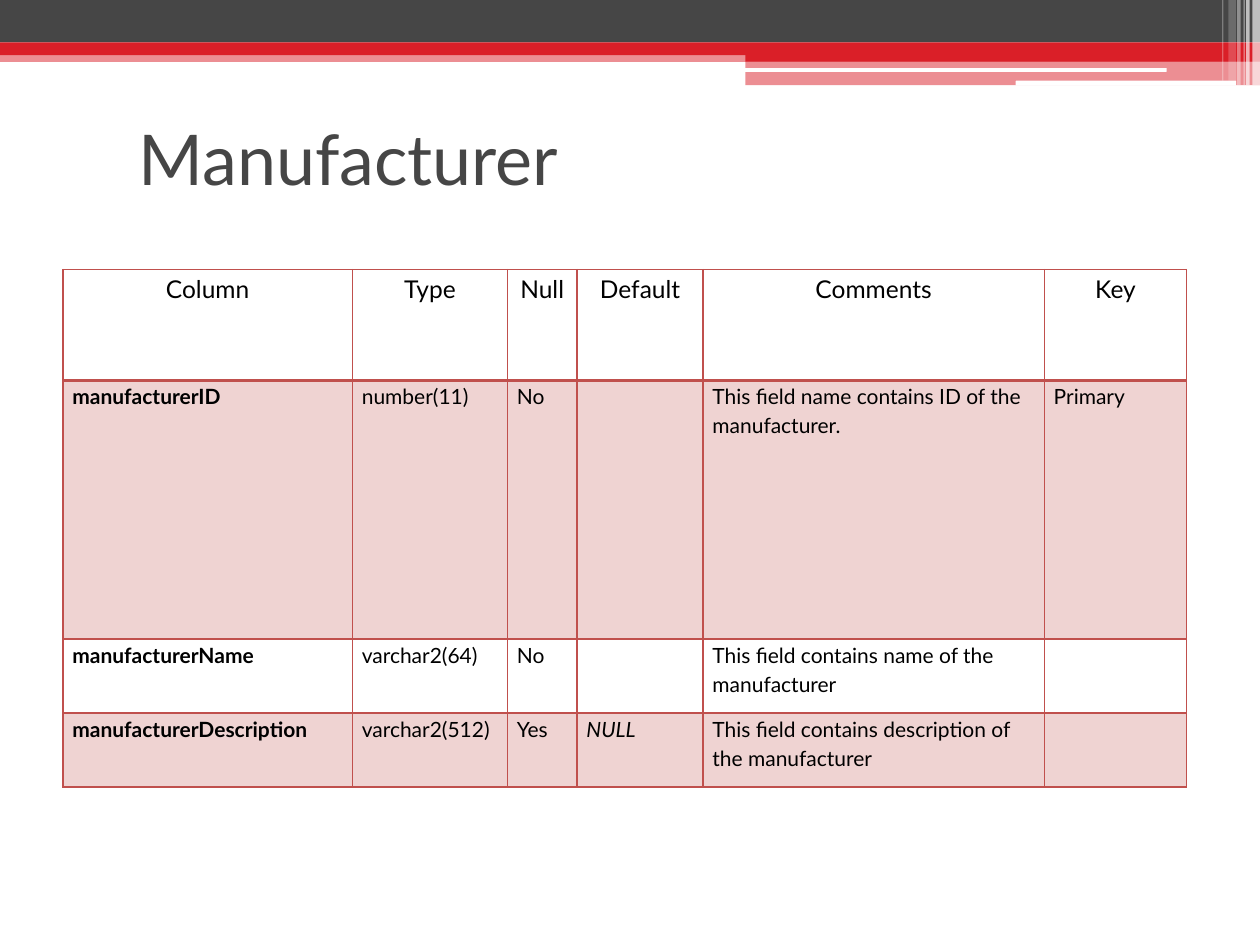
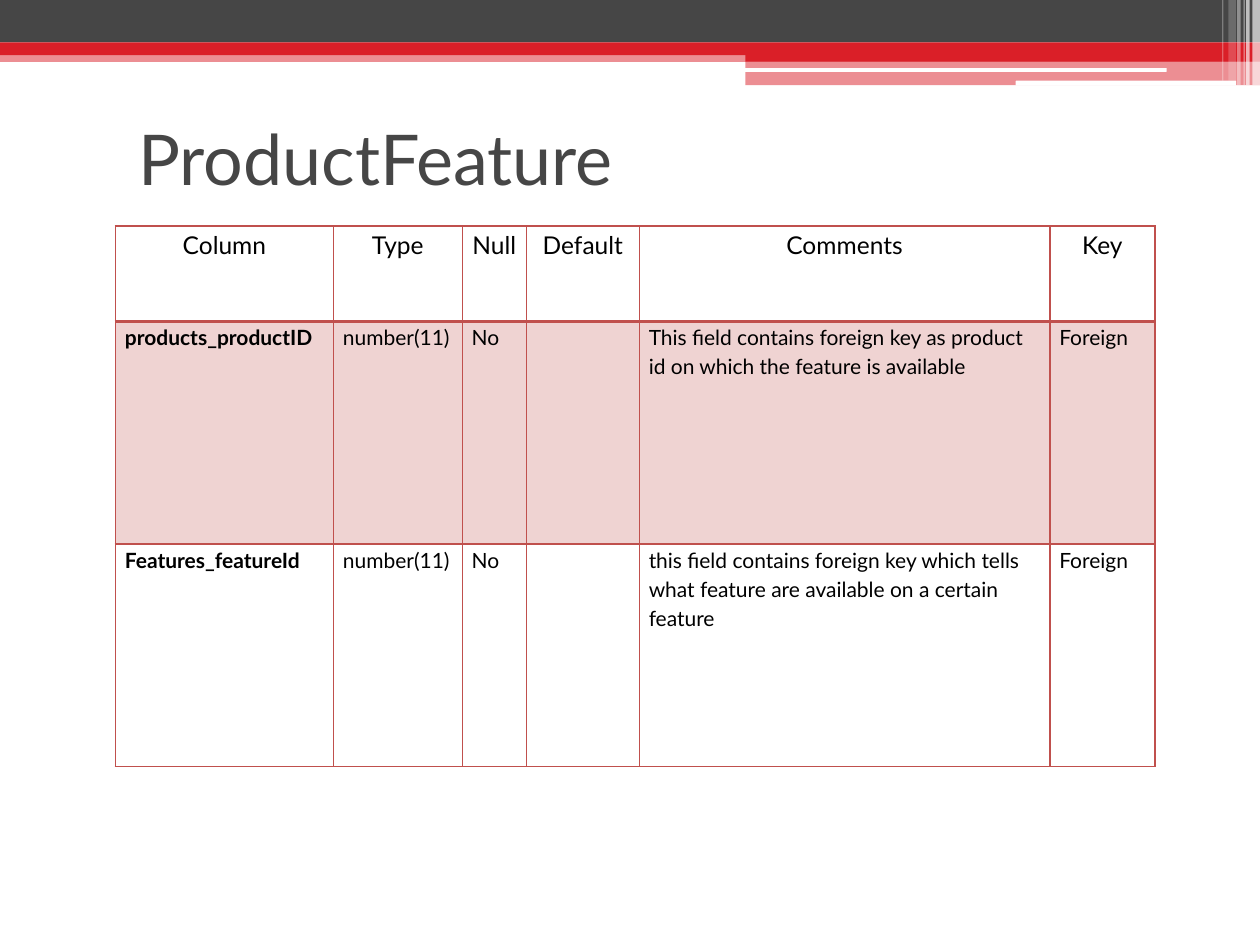
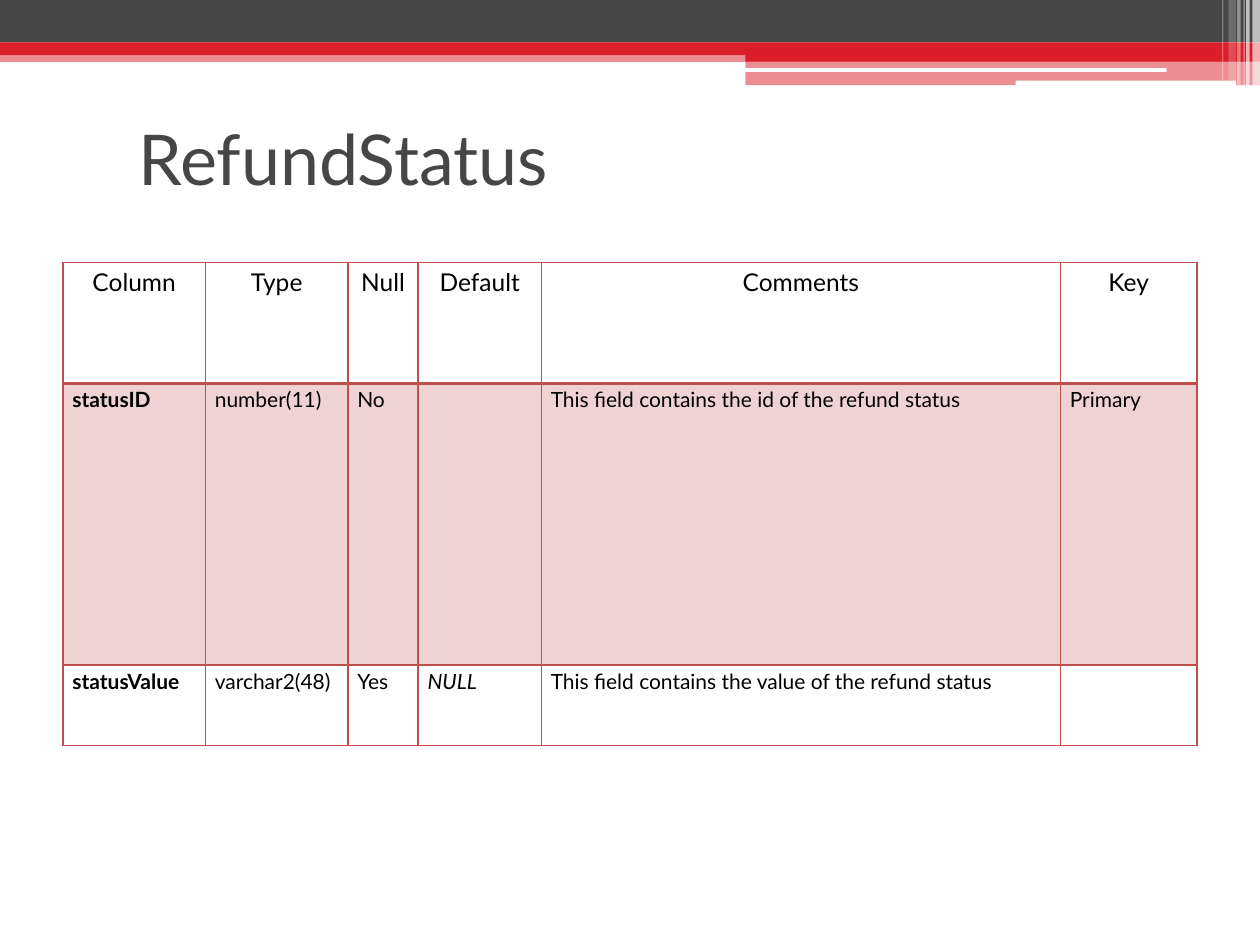
import pptx
import pptx.util
import pptx.dml.color
import pptx.enum.shapes
import pptx.enum.text
import pptx.oxml
import pptx.oxml.ns
from lxml import etree

Pt = pptx.util.Pt
RGB = pptx.dml.color.RGBColor.from_string
SHAPE = pptx.enum.shapes.MSO_SHAPE
ALIGN = pptx.enum.text.PP_ALIGN
ANCHOR = pptx.enum.text.MSO_ANCHOR
qn = pptx.oxml.ns.qn

COLORS = {"dark": "464646", "red": "DA1F28", "white": "FFFFFF",
          "black": "000000", "border": "C0504D", "band": "EFD3D2"}
FONT = "Lato"
HEADERS = ["Column", "Type", "Null", "Default", "Comments", "Key"]

# Header bands: box in points, colour, opacity in percent, rounded
BANDS = [
    ((0, 28.8, 720, 6.6), "red", 50, False),
    ((0, 0, 720, 24.3), "dark", 100, False),
    ((0, 24.3, 720, 7.2), "red", 100, False),
    ((426, 28, 294, 7.2), "red", 100, False),
    ((426, 35.2, 294, 13.5), "red", 50, False),
    ((425.5, 38.9, 241.2, 2.2), "white", 100, True),
    ((580.4, 46.1, 126, 2.9), "white", 100, True),
]
# Vertical stripes at the right edge: left, width, height, opacity
STRIPES = [(715.7, 4.3, 48.7, 65), (712.1, 2, 48.7, 65), (710.6, 0.7, 48.7, 60),
           (707, 2, 48.7, 40), (702, 4.3, 46.1, 20), (698.4, 0.7, 46.1, 30)]

# Slides: title, table corner, column widths, row heights, body rows
TABLES = [
    ("Manufacturer", (36, 154), (165.4, 88.6, 39.8, 72, 195, 81.4),
     (63.4, 147.8, 42.3, 42.3), [
        ["manufacturerID", "number(11)", "No", "",
         "This field name contains ID of the manufacturer.", "Primary"],
        ["manufacturerName", "varchar2(64)", "No", "",
         "This field contains name of the manufacturer", ""],
        ["manufacturerDescription", "varchar2(512)", "Yes", "NULL",
         "This field contains description of the manufacturer", ""]]),
    ("ProductFeature", (66, 129), (124.6, 73.6, 36.6, 64.6, 234.6, 60),
     (54.6, 127.2, 127.2), [
        ["products_productID", "number(11)", "No", "",
         "This field contains foreign key as product id on which the feature is available",
         "Foreign"],
        ["Features_featureId", "number(11)", "No", "",
         "this field contains foreign key which tells what feature are available "
         "on a certain feature", "Foreign"]]),
    ("RefundStatus", (36, 150), (81.4, 81.4, 40.2, 70.4, 296.6, 78),
     (69, 161, 46), [
        ["statusID", "number(11)", "No", "",
         "This field contains the id of the refund status", "Primary"],
        ["statusValue", "varchar2(48)", "Yes", "NULL",
         "This field contains the value of the refund status", ""]]),
]


class Deck:
    """Holds the style and the current slide."""

    def __init__(self):
        self.prs = pptx.Presentation()
        self.prs.slide_width, self.prs.slide_height = Pt(720), Pt(540)
        self.layout = self.prs.slide_layouts[5]
        self.s = None

    def slide(self, title):
        self.s = self.prs.slides.add_slide(self.layout)
        sp = self.s.shapes.title
        sp.left, sp.top, sp.width, sp.height = (Pt(v) for v in (72, 48.2, 648, 84.2))
        tf = sp.text_frame
        tf.vertical_anchor = ANCHOR.MIDDLE
        self.add_text(tf.paragraphs[0], title, ALIGN.LEFT, size=Pt(40), color="dark")

    def add_text(self, p, text, align, color="black", **font):
        p.alignment = align
        r = p.add_run()
        r.text = text
        r.font.color.rgb = RGB(COLORS[color])
        for name, value in {"name": FONT, **font}.items():
            setattr(r.font, name, value)

    def band(self, box, color, opacity=100, rounded=False):
        kind = SHAPE.ROUNDED_RECTANGLE if rounded else SHAPE.RECTANGLE
        sp = self.s.shapes.add_shape(kind, *(Pt(v) for v in box))
        sp.shadow.inherit = False
        sp.fill.solid()
        sp.fill.fore_color.rgb = RGB(COLORS[color])
        sp.line.fill.background()
        if opacity < 100:
            clr = sp.element.spPr.find(".//" + qn("a:srgbClr"))
            etree.SubElement(clr, qn("a:alpha"), val=str(opacity * 1000))
        return sp

    def move_to_layout(self, shapes):
        for number, sp in enumerate(shapes, 101):
            sp.element.nvSpPr.cNvPr.set("id", str(number))
            self.layout.shapes.element.append(sp.element)

    def border(self, cell, **widths):
        tc_pr = cell._tc.get_or_add_tcPr()
        for side in "LRTB":
            ln = etree.SubElement(tc_pr, qn("a:ln" + side), w=str(int(Pt(widths.get(side, 1)))))
            fill = etree.SubElement(ln, qn("a:solidFill"))
            etree.SubElement(fill, qn("a:srgbClr"), val=COLORS["border"])

    def cell(self, cell, text, row, col):
        margins = {"margin_left": 5.4, "margin_right": 5.4, "margin_top": 0, "margin_bottom": 0}
        for name, value in margins.items():
            setattr(cell, name, Pt(value))
        self.border(cell, **{0: {"B": 2.25}, 1: {"T": 2.25}}.get(row, {}))
        if row % 2:
            cell.fill.solid()
            cell.fill.fore_color.rgb = RGB(COLORS["band"])
        else:
            cell.fill.background()
        if text:
            p = cell.text_frame.paragraphs[0]
            p.line_spacing = 1.15
            self.add_text(p, text, ALIGN.LEFT if row else ALIGN.CENTER,
                          size=Pt(12 if row else 14), bold=row > 0 and col == 0,
                          italic=text == "NULL")

    def table(self, corner, widths, heights, rows):
        size = sum(widths), sum(heights)
        tbl = self.s.shapes.add_table(len(heights), len(widths),
                                      *(Pt(v) for v in corner + size)).table
        tbl.first_row = tbl.horz_banding = False
        for column, width in zip(tbl.columns, widths):
            column.width = Pt(width)
        for row, height in zip(tbl.rows, heights):
            row.height = Pt(height)
        for i, texts in enumerate([HEADERS] + rows):
            for j, text in enumerate(texts):
                self.cell(tbl.cell(i, j), text, i, j)


def main():
    deck = Deck()
    for number, (title, *table) in enumerate(TABLES):
        deck.slide(title)
        # The bands go to the layout once, for every slide
        if number == 0:
            shapes = [deck.band(*band) for band in BANDS]
            shapes += [deck.band((left, 0, width, height), "white", opacity)
                       for left, width, height, opacity in STRIPES]
            deck.move_to_layout(shapes)
        deck.table(*table)
    deck.prs.save("out.pptx")


if __name__ == "__main__":
    main()
